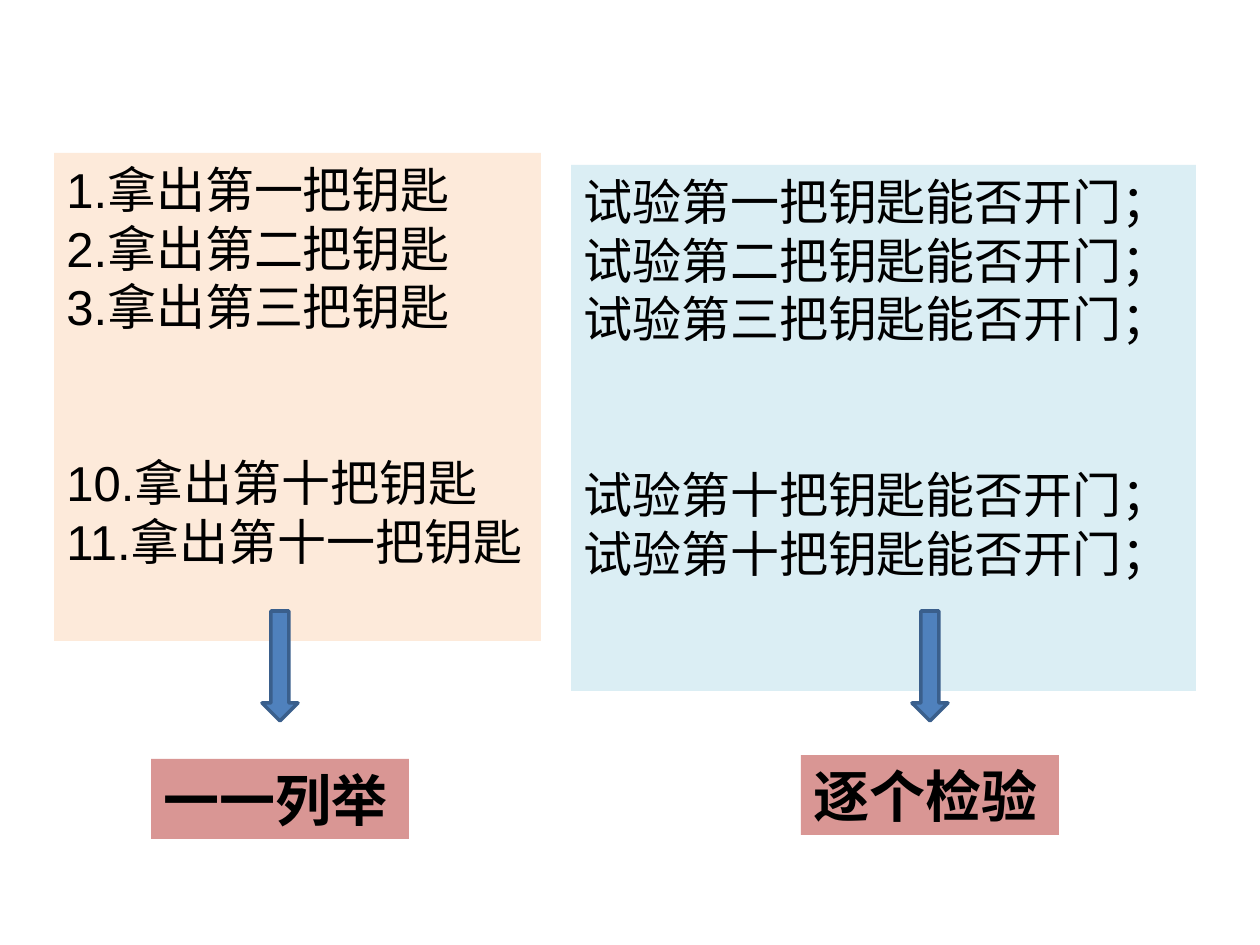
from dataclasses import dataclass
from pptx import Presentation
from pptx.dml.color import RGBColor as RGB
from pptx.enum.shapes import MSO_SHAPE as Shape
from pptx.enum.text import MSO_ANCHOR as Anchor, PP_ALIGN as Align
from pptx.util import Emu, Pt

SCALE = 914400 / 126


@dataclass(frozen=True)
class Theme:
    font: str = "Arial"
    ink: str = "000000"
    peach: str = "FDEADA"
    pale: str = "DBEEF4"
    rose: str = "D99694"
    blue: str = "4F81BD"
    edge: str = "3A5F8C"
    body: int = 28
    label: int = 32
    gap: int = 67
    line: int = 2


THEME = Theme()


def px(n):
    return Emu(round(n * SCALE))


def add_shape(slide, kind, box, fill):
    shape = slide.shapes.add_shape(kind, *map(px, box))
    shape.shadow.inherit = False
    shape.fill.solid()
    shape.fill.fore_color.rgb = RGB.from_string(fill)
    return shape


def add_box(slide, box, fill):
    shape = add_shape(slide, Shape.RECTANGLE, box, fill)
    shape.line.fill.background()
    frame = shape.text_frame
    frame.word_wrap = True
    frame.vertical_anchor = Anchor.TOP
    return frame


def add_run(para, text, size, bold=False):
    para.alignment = Align.LEFT
    run = para.add_run()
    run.text = text
    font = run.font
    font.name = THEME.font
    font.size = Pt(size)
    font.bold = bold
    font.color.rgb = RGB.from_string(THEME.ink)


def add_list(slide, box, fill, first, last):
    frame = add_box(slide, box, fill)
    for i, text in enumerate(first + last):
        para = frame.add_paragraph() if i else frame.paragraphs[0]
        if i == len(first):
            para.space_before = Pt(THEME.gap)
        add_run(para, text, THEME.body)


def add_arrow(slide, mid):
    wide = 36
    shape = add_shape(slide, Shape.DOWN_ARROW, (mid - wide // 2, 611, wide, 110), THEME.blue)
    shape.line.color.rgb = RGB.from_string(THEME.edge)
    shape.line.width = Pt(THEME.line)


def add_label(slide, mid, top, text):
    wide = 258
    frame = add_box(slide, (mid - wide // 2, top, wide, 80), THEME.rose)
    add_run(frame.paragraphs[0], text, THEME.label, True)


def main():
    deck = Presentation()
    deck.slide_width, deck.slide_height = px(1260), px(945)
    slide = deck.slides.add_slide(deck.slide_layouts[6])

    keys = [(1, "一"), (2, "二"), (3, "三"), (10, "十"), (11, "十一")]
    takes = [f"{n}.拿出第{word}把钥匙" for n, word in keys]
    tests = [f"试验第{word}把钥匙能否开门；" for word in "一二三十十"]
    add_list(slide, (54, 153, 487, 488), THEME.peach, takes[:3], takes[3:])
    add_list(slide, (571, 165, 625, 526), THEME.pale, tests[:3], tests[3:])

    steps = [(280, 759, "一一列举"), (930, 755, "逐个检验")]
    for mid, _, _ in steps:
        add_arrow(slide, mid)
    for mid, top, text in steps:
        add_label(slide, mid, top, text)
    deck.save("out.pptx")


if __name__ == "__main__":
    main()
